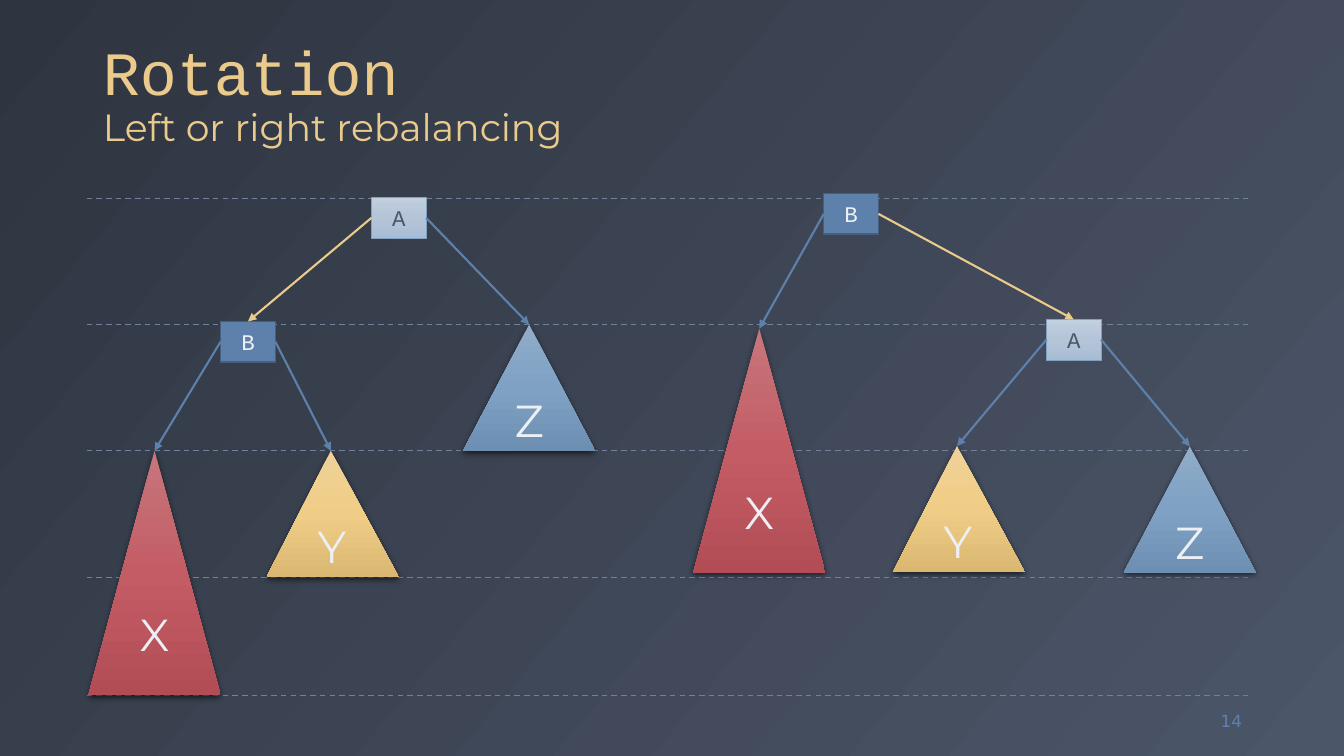
from lxml import etree
from pptx import Presentation
from pptx.dml.color import RGBColor
from pptx.enum.dml import MSO_LINE
from pptx.enum.shapes import MSO_CONNECTOR, MSO_SHAPE
from pptx.enum.text import MSO_ANCHOR, MSO_AUTO_SIZE, PP_ALIGN
from pptx.oxml.ns import qn
from pptx.util import Cm, Pt

STRAIGHT = MSO_CONNECTOR.STRAIGHT
DASH = MSO_LINE.DASH
RECTANGLE, TRIANGLE = MSO_SHAPE.RECTANGLE, MSO_SHAPE.ISOSCELES_TRIANGLE
MIDDLE, BOTTOM = MSO_ANCHOR.MIDDLE, MSO_ANCHOR.BOTTOM
CENTER, RIGHT = PP_ALIGN.CENTER, PP_ALIGN.RIGHT

MONO, SANS, NUMBER_FONT = "Courier New", "Montserrat", "DejaVu Sans"
YELLOW, BLUE, GUIDE, PALE, SLATE = "EBCB8B", "5E81AC", "73809B", "ECEFF3", "4C5669"

TITLE, SUBTITLE, PAGE_NUMBER = "Rotation", "Left or right rebalancing", "14"
BACKGROUND = ["2E3440", SLATE]

# All lengths are in centimetres.
GUIDE_LEFT, GUIDE_RIGHT = 2.18, 31.45
GUIDE_TOPS = [5.0, 8.18, 11.35, 14.55, 17.53]
BOX_WIDTH, BOX_HEIGHT = 1.38, 1.02
SUBTREE_WIDTH = 3.33

# name: (fill colours, line colour, line width, text colour)
BOXES = {
    "A": (["C1CFDF", "B4C5D8", "A8BDD5"], "81A1C1", 0.5, SLATE),
    "B": ([BLUE], "465F7F", 1, PALE),
}
# name: (fill colours, height, apex position)
SUBTREES = {
    "X": (["C6767C", "C45C65", "B34D55"], 6.15, 0.5),
    "Y": (["EFD29A", "F0CD86", "DBB871"], 3.18, 0.486),
    "Z": (["90ACC8", "7EA1C4", "6C8FB2"], 3.18, 0.5),
}
# (left and top of each node, edges from parent to child)
TREES = [
    ({"X": (2.23, 11.36), "B": (5.56, 8.1), "A": (9.36, 4.98),
      "Y": (6.72, 11.36), "Z": (11.67, 8.18)},
     ["BX", "BY", "AB", "AZ"]),
    ({"X": (17.47, 8.28), "B": (20.76, 4.88), "A": (26.37, 8.05),
      "Y": (22.5, 11.24), "Z": (28.32, 11.25)},
     ["BX", "BA", "AY", "AZ"]),
]
ROTATED_EDGES = {"AB", "BA"}


def rgb(color):
    return RGBColor.from_string(color)


def set_font(run, name, size, color):
    run.font.name = name
    run.font.size = Pt(size)
    run.font.color.rgb = rgb(color)


def paint(fill, element, colors, angle=90):
    """Fill with one colour, or with evenly spaced stops at a clockwise angle."""
    if len(colors) == 1:
        fill.solid()
        fill.fore_color.rgb = rgb(colors[0])
        return
    fill.gradient()
    fill.gradient_angle = 360 - angle
    stops = element.find(".//" + qn("a:gsLst"))
    for stop in list(stops):
        stops.remove(stop)
    for index, color in enumerate(colors):
        position = index * 100000 // (len(colors) - 1)
        stop = etree.SubElement(stops, qn("a:gs"), pos=str(position))
        etree.SubElement(stop, qn("a:srgbClr"), val=color)


def add_line(slide, start, end, color, width):
    line = slide.shapes.add_connector(STRAIGHT, *map(Cm, start + end))
    line.line.color.rgb = rgb(color)
    line.line.width = Pt(width)
    etree.SubElement(line._element.spPr, qn("a:effectLst"))
    return line


def add_node(slide, kind, name, place, size, colors, font):
    node = slide.shapes.add_shape(kind, *map(Cm, place + size))
    node.shadow.inherit = False
    paint(node.fill, node._element, colors)
    frame = node.text_frame
    frame.text = name
    frame.vertical_anchor = MIDDLE
    frame.paragraphs[0].alignment = CENTER
    set_font(frame.paragraphs[0].runs[0], *font)
    return node


def add_box(slide, name, place):
    colors, line_color, line_width, text_color = BOXES[name]
    box = add_node(slide, RECTANGLE, name, place, (BOX_WIDTH, BOX_HEIGHT),
                   colors, (MONO, 16, text_color))
    box.line.color.rgb = rgb(line_color)
    box.line.width = Pt(line_width)


def add_subtree(slide, name, place):
    colors, height, apex = SUBTREES[name]
    subtree = add_node(slide, TRIANGLE, name, place, (SUBTREE_WIDTH, height),
                       colors, (SANS, 32, PALE))
    subtree.adjustments[0] = apex
    subtree.line.fill.background()
    effects = subtree._element.spPr.find(qn("a:effectLst"))
    shadow = etree.SubElement(effects, qn("a:outerShdw"), blurRad=str(Pt(4.5)),
                              dist=str(Pt(1.5)), dir="5400000", rotWithShape="0")
    color = etree.SubElement(shadow, qn("a:srgbClr"), val="000000")
    etree.SubElement(color, qn("a:alpha"), val="63000")


def top_point(name, place):
    left, top = place
    if name in BOXES:
        return left + BOX_WIDTH / 2, top
    return left + SUBTREE_WIDTH * SUBTREES[name][2], top


def add_edge(slide, edge, places):
    """Join the parent's side that faces the child to the child's top."""
    parent, child = edge
    left, top = places[parent]
    end = top_point(child, places[child])
    side = left if end[0] < left else left + BOX_WIDTH
    color = YELLOW if edge in ROTATED_EDGES else BLUE
    arrow = add_line(slide, (side, top + BOX_HEIGHT / 2), end, color, 1.5)
    etree.SubElement(arrow.line._get_or_add_ln(), qn("a:tailEnd"), type="triangle")


def add_title(slide):
    title = slide.shapes.title
    title.left, title.top, title.width, title.height = map(Cm, (2.34, 0.46, 29.21, 3.45))
    frame = title.text_frame
    frame.auto_size = MSO_AUTO_SIZE.NONE
    frame.vertical_anchor = BOTTOM
    paragraph = frame.paragraphs[0]
    paragraph.text = TITLE + "\v" + SUBTITLE
    paragraph.alignment = PP_ALIGN.LEFT
    paragraph.line_spacing = 0.9
    set_font(paragraph.runs[0], MONO, 44, YELLOW)
    set_font(paragraph.runs[1], SANS, 27, YELLOW)


def add_page_number(slide):
    frame = slide.shapes.add_textbox(*map(Cm, (29.44, 17.65, 2.11, 1.02))).text_frame
    frame.word_wrap = True
    frame.vertical_anchor = MIDDLE
    frame.text = PAGE_NUMBER
    frame.paragraphs[0].alignment = RIGHT
    set_font(frame.paragraphs[0].runs[0], NUMBER_FONT, 12, BLUE)


def main():
    presentation = Presentation()
    presentation.slide_width, presentation.slide_height = Cm(33.87), Cm(19.05)
    slide = presentation.slides.add_slide(presentation.slide_layouts[5])
    paint(slide.background.fill, slide._element, BACKGROUND, 40)
    for top in GUIDE_TOPS:
        guide = add_line(slide, (GUIDE_LEFT, top), (GUIDE_RIGHT, top), GUIDE, 1)
        guide.line.dash_style = DASH
    add_title(slide)
    add_page_number(slide)
    for places, edges in TREES:
        for name, place in places.items():
            add = add_box if name in BOXES else add_subtree
            add(slide, name, place)
        for edge in edges:
            add_edge(slide, edge, places)
    presentation.save("out.pptx")


if __name__ == "__main__":
    main()
